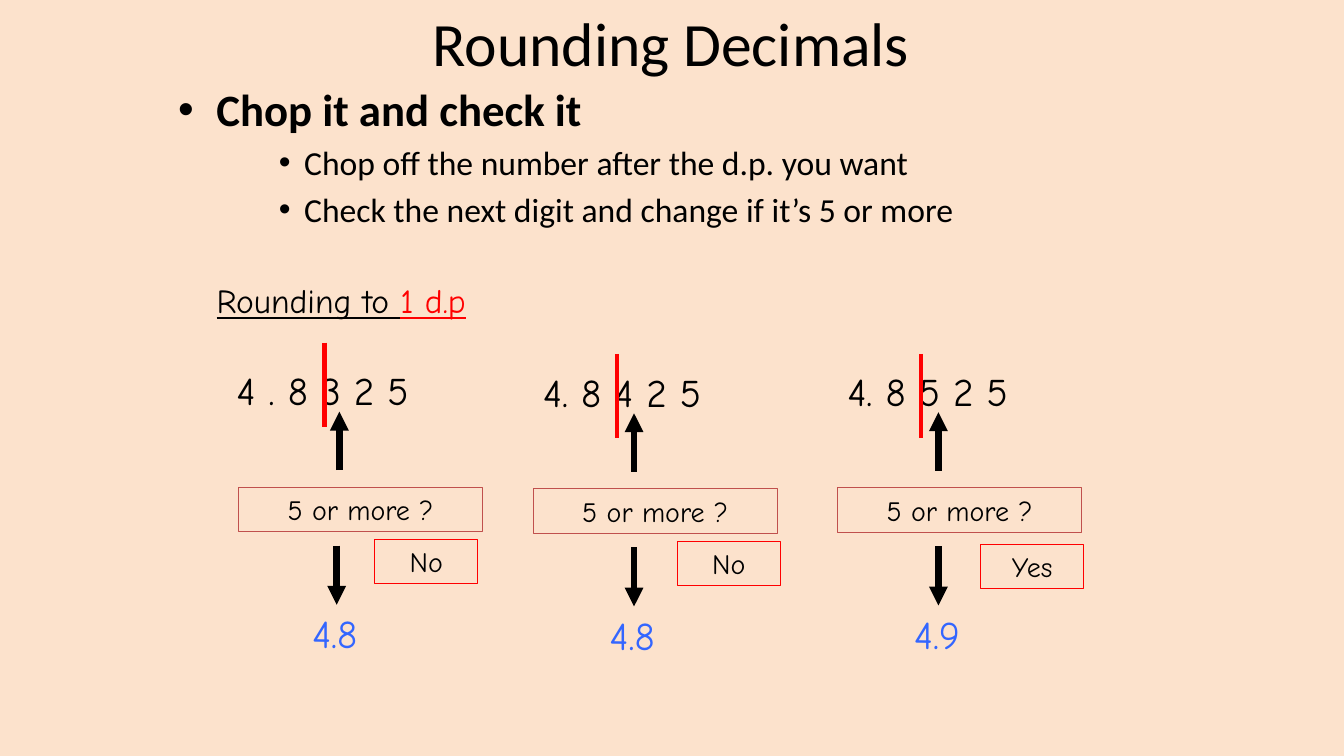
from dataclasses import dataclass

from lxml.etree import SubElement
from pptx import Presentation
from pptx.dml.color import RGBColor
from pptx.enum.shapes import MSO_CONNECTOR, MSO_SHAPE
from pptx.enum.text import MSO_ANCHOR, MSO_AUTO_SIZE, PP_ALIGN
from pptx.oxml.ns import qn
from pptx.shapes.base import BaseShape
from pptx.slide import Slide
from pptx.text.text import TextFrame, _Paragraph
from pptx.util import Inches, Pt

BLACK = RGBColor(0x00, 0x00, 0x00)
RED = RGBColor(0xFF, 0x00, 0x00)
BRICK = RGBColor(0xC0, 0x50, 0x4D)
BLUE = RGBColor(0x33, 0x66, 0xFF)
PEACH = RGBColor(0xFC, 0xE2, 0xCC)
PLAIN_FONT = "Calibri"
HAND_FONT = "Comic Neue"

# The slide is a grid of 80 columns and 45 rows of square cells
SLIDE_WIDTH, SLIDE_HEIGHT = Inches(13.33), Inches(7.5)
COLUMN, ROW = SLIDE_WIDTH / 80, SLIDE_HEIGHT / 45


@dataclass(frozen=True)
class Area:
    left: float
    top: float
    width: float
    height: float

    def lengths(self) -> tuple[int, int, int, int]:
        return (round(self.left * COLUMN), round(self.top * ROW),
                round(self.width * COLUMN), round(self.height * ROW))


@dataclass(frozen=True)
class Example:
    """One worked number; places are grid columns and rows."""
    number: str
    verdict: str
    answer: str
    number_left: float
    question_left: float
    question_top: float
    cut_column: float
    cut_top: float
    down_column: float
    verdict_left: float
    verdict_top: float


EXAMPLES = (
    Example("4 . 8 3 2 5", "No", "4.8", 13.5, 14.2, 29, 19.32, 20.4, 20.04, 22.32, 32.1),
    Example("4. 8 4 2 5", "No", "4.8", 31.74, 31.74, 29.1, 36.72, 21.06, 37.74, 40.32, 32.22),
    Example("4. 8 5 2 5", "Yes", "4.9", 49.86, 49.86, 29.04, 54.84, 21.06, 55.86, 58.38, 32.4),
)

BULLETS = (  # text, level, left margin, hanging indent, size, bold
    ("Chop it and check it", 0, 0.38, 0.38, 32, True),
    ("Chop off the number after the d.p. you want", 2, 1.25, 0.25, 24, False),
    ("Check the next digit and change if it’s 5 or more", 2, 1.25, 0.25, 24, False),
)


def write(paragraph: _Paragraph, text: str, *, size: float, font: str = HAND_FONT,
          color: RGBColor = BLACK, bold: bool = False, underline: bool = False,
          align: PP_ALIGN = PP_ALIGN.LEFT) -> None:
    paragraph.alignment = align
    run = paragraph.add_run()
    run.text = text
    run.font.name, run.font.size = font, Pt(size)
    run.font.bold, run.font.underline = bold, underline
    run.font.color.rgb = color


def place(shape: BaseShape, area: Area) -> None:
    shape.left, shape.top, shape.width, shape.height = area.lengths()


def add_text_box(slide: Slide, area: Area) -> TextFrame:
    frame = slide.shapes.add_textbox(*area.lengths()).text_frame
    frame.word_wrap = True
    return frame


def add_framed_text(slide: Slide, text: str, area: Area, outline: RGBColor) -> None:
    shape = slide.shapes.add_shape(MSO_SHAPE.RECTANGLE, *area.lengths())
    shape.shadow.inherit = False
    shape.fill.background()
    shape.line.color.rgb = outline
    shape.line.width = Pt(0.75)
    shape.text_frame.word_wrap = True
    write(shape.text_frame.paragraphs[0], text, size=20, align=PP_ALIGN.CENTER)


def add_vertical_line(slide: Slide, column: float, start: float, end: float, *,
                      color: RGBColor, width: float, arrow: bool = False) -> None:
    across = round(column * COLUMN)
    line = slide.shapes.add_connector(MSO_CONNECTOR.STRAIGHT, across, round(start * ROW),
                                      across, round(end * ROW))
    line.line.color.rgb = color
    line.line.width = Pt(width)
    properties = line._element.spPr
    if arrow:
        SubElement(properties.find(qn("a:ln")), qn("a:tailEnd"), type="triangle")
    SubElement(properties, qn("a:effectLst"))


def add_bullet(paragraph: _Paragraph, margin: float, hanging: float) -> None:
    properties = paragraph._p.get_or_add_pPr()
    properties.set("marL", str(Inches(margin)))
    properties.set("indent", str(-Inches(hanging)))
    SubElement(properties, qn("a:buFont"), typeface="Arial")
    SubElement(properties, qn("a:buChar"), char="•")


def fill_title(slide: Slide) -> None:
    title = slide.shapes.title
    place(title, Area(9.9, 0, 60.1, 5.04))
    title.text_frame.auto_size = MSO_AUTO_SIZE.NONE
    title.text_frame.vertical_anchor = MSO_ANCHOR.MIDDLE
    write(title.text_frame.paragraphs[0], "Rounding Decimals", size=44,
          font=PLAIN_FONT, align=PP_ALIGN.CENTER)


def fill_body(slide: Slide) -> None:
    body = slide.placeholders[1]
    place(body, Area(10, 4.56, 60, 9.9))
    frame = body.text_frame
    frame.auto_size = MSO_AUTO_SIZE.NONE
    frame.vertical_anchor = MSO_ANCHOR.TOP
    for index, (text, level, margin, hanging, size, bold) in enumerate(BULLETS):
        paragraph = frame.add_paragraph() if index else frame.paragraphs[0]
        add_bullet(paragraph, margin, hanging)
        paragraph.level = level
        paragraph.space_before = Pt(0.2 * size if index else 0)
        write(paragraph, text, size=size, font=PLAIN_FONT, bold=bold)


def add_example(slide: Slide, example: Example) -> None:
    top = example.question_top
    # Number with the red chop line
    number = add_text_box(slide, Area(example.number_left, top - 7.5, 15, 3.42))
    write(number.paragraphs[0], example.number, size=28)
    add_vertical_line(slide, example.cut_column, example.cut_top, example.cut_top + 5.04,
                      color=RED, width=3)
    # Question pointing up at the next digit
    add_framed_text(slide, "5 or more ?", Area(example.question_left, top, 14.52, 2.64), BRICK)
    add_vertical_line(slide, example.question_left + 6, top - 1.02, top - 4.5,
                      color=BLACK, width=4.5, arrow=True)
    # Verdict and rounded answer
    add_vertical_line(slide, example.down_column, top + 3.48, top + 7,
                      color=BLACK, width=4.5, arrow=True)
    answer = add_text_box(slide, Area(example.down_column - 2.04, top + 7, 5, 3.42))
    write(answer.paragraphs[0], example.answer, size=28, color=BLUE)
    add_framed_text(slide, example.verdict,
                    Area(example.verdict_left, example.verdict_top, 6.12, 2.64), RED)


def main() -> None:
    presentation = Presentation()
    presentation.slide_width, presentation.slide_height = SLIDE_WIDTH, SLIDE_HEIGHT
    slide = presentation.slides.add_slide(presentation.slide_layouts[1])
    slide.background.fill.solid()
    slide.background.fill.fore_color.rgb = PEACH

    fill_title(slide)
    fill_body(slide)

    # Heading above the examples
    heading = add_text_box(slide, Area(12.3, 16.38, 17.52, 3)).paragraphs[0]
    write(heading, "Rounding to ", size=24, underline=True)
    write(heading, "1 d.p", size=24, underline=True, color=RED)

    for example in EXAMPLES:
        add_example(slide, example)
    presentation.save("out.pptx")


if __name__ == "__main__":
    main()
